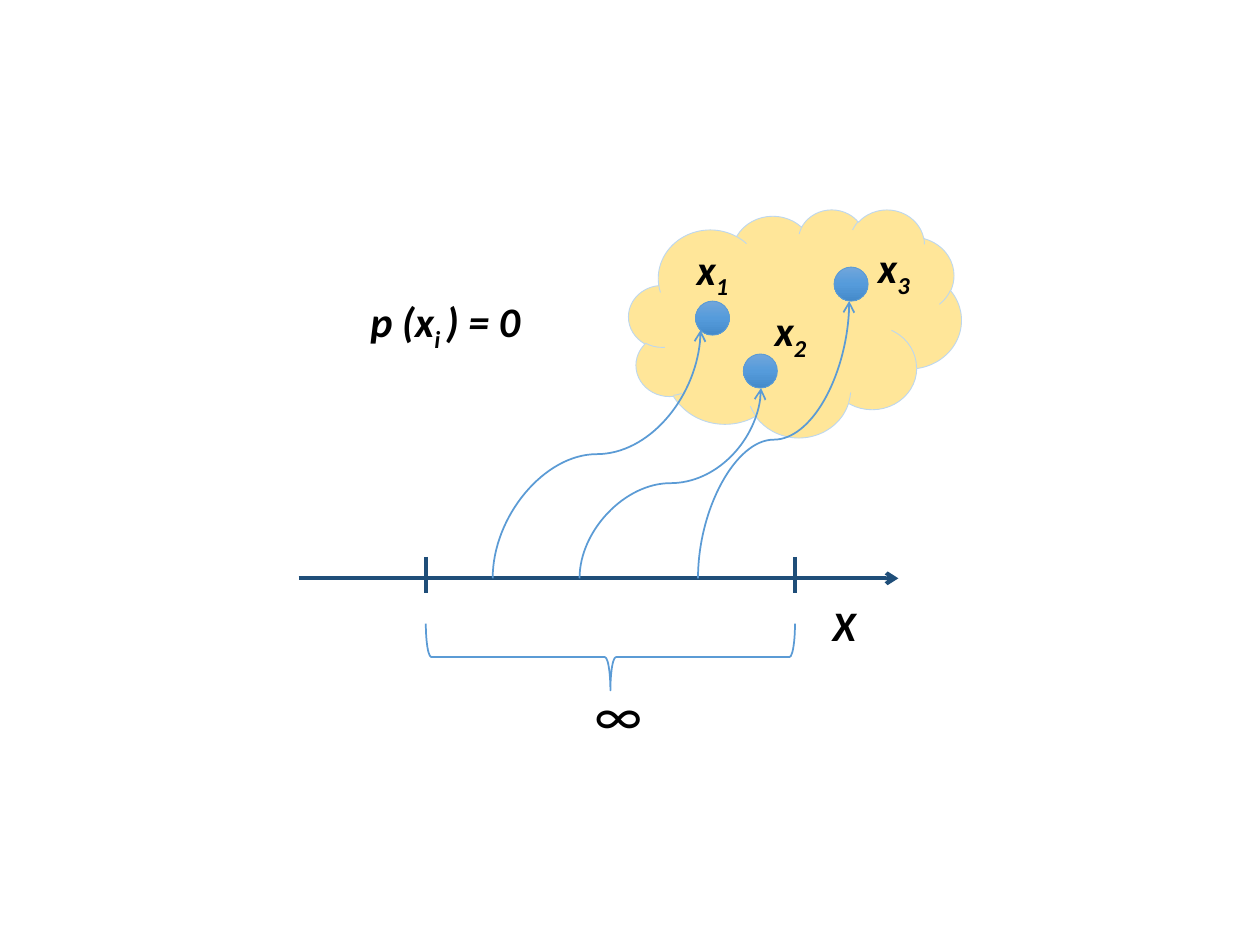
import copy
import pptx
import pptx.util
import pptx.dml.color
import pptx.enum.shapes
import pptx.enum.text
import pptx.oxml
import pptx.oxml.ns

WIDE = pptx.util.Inches(10)
HIGH = pptx.util.Inches(7.5)
COLS, ROWS = 10, 7.5
KIND = pptx.enum.shapes.MSO_SHAPE
LINK = pptx.enum.shapes.MSO_CONNECTOR
NAVY, BLUE, PALE, SAND, INK = "1F4E79", "5B9BD5", "BDD7EE", "FFE699", "000000"
SHINE = ["71A6DB", "559BDB", "448ACA"]
AXIS = 4.59
ENDS = (3.38, 6.31)
DOT = 0.27


def col(n):
    return round(WIDE * n / COLS)


def row(n):
    return round(HIGH * n / ROWS)


def hue(code):
    return pptx.dml.color.RGBColor.from_string(code)


def node(root, tag, **keys):
    item = pptx.oxml.parse_xml(f"<a:{tag} {pptx.oxml.ns.nsdecls('a')}/>")
    for key, val in keys.items():
        item.set(key, val)
    root.append(item)


def pen(item, code, size):
    item.line.color.rgb = hue(code)
    item.line.width = pptx.util.Pt(size)


def link(slide, kind, start, end, code, size, tip=False):
    item = slide.shapes.add_connector(
        kind, col(start[0]), row(start[1]), col(end[0]), row(end[1]))
    pen(item, code, size)
    if tip:
        node(item.line._get_or_add_ln(), "tailEnd", type="arrow")
    node(item._element.spPr, "effectLst")
    return item


def curve(slide, start, end):
    midx, midy = (start[0] + end[0]) / 2, (start[1] + end[1]) / 2
    halfw, halfh = (start[1] - end[1]) / 2, (end[0] - start[0]) / 2
    item = link(slide, LINK.CURVE, (midx + halfw, midy + halfh),
                (midx - halfw, midy - halfh), BLUE, 1, tip=True)
    frame = item._element.spPr.find(pptx.oxml.ns.qn("a:xfrm"))
    frame.set("rot", "5400000")


def form(slide, kind, box, line, size, fill=None):
    left, top, wide, high = box
    item = slide.shapes.add_shape(kind, col(left), row(top), col(wide), row(high))
    item.shadow.inherit = False
    pen(item, line, size)
    if fill:
        item.fill.solid()
        item.fill.fore_color.rgb = hue(fill)
    else:
        item.fill.background()
    return item


def ball(slide, left, top):
    item = form(slide, KIND.OVAL, (left, top, DOT, DOT), BLUE, 0.5)
    item.fill.gradient()
    item.fill.gradient_angle = 270
    first = item.fill.gradient_stops[0]._gs
    first.addnext(copy.deepcopy(first))
    for i, stop in enumerate(item.fill.gradient_stops):
        stop.position = i / 2
        stop.color.rgb = hue(SHINE[i])


def text(slide, parts, box, size=24, slant=True, wrap=False):
    left, top, wide, high = box
    item = slide.shapes.add_textbox(col(left), row(top), col(wide), row(high))
    frame = item.text_frame
    frame.word_wrap = wrap
    frame.auto_size = pptx.enum.text.MSO_AUTO_SIZE.SHAPE_TO_FIT_TEXT
    for i, part in enumerate(parts):
        run = frame.paragraphs[0].add_run()
        run.text = part
        font = run.font
        font.name = "Calibri"
        font.size = pptx.util.Pt(size)
        font.bold = font.italic = slant
        font.color.rgb = hue(INK)
        if i % 2:
            font._element.set("baseline", "-25000")


def main():
    deck = pptx.Presentation()
    deck.slide_width, deck.slide_height = WIDE, HIGH
    slide = deck.slides.add_slide(deck.slide_layouts[6])

    link(slide, LINK.STRAIGHT, (2.37, AXIS), (7.13, AXIS), NAVY, 2.25, tip=True)
    for end in ENDS:
        link(slide, LINK.STRAIGHT, (end, 4.42), (end, 4.71), NAVY, 2.25)

    form(slide, KIND.CLOUD, (4.99, 1.66, 2.64, 1.81), PALE, 0.5, SAND)
    for spot in [(5.52, 2.39), (6.62, 2.12), (5.9, 2.81)]:
        ball(slide, *spot)
    for foot, tip in [(3.91, (5.56, 2.62)), (4.6, (6.04, 3.08)), (5.54, (6.74, 2.39))]:
        curve(slide, (foot, AXIS), tip)

    text(slide, ["X"], (6.51, 4.71, 0.47, 0.5))
    for sub, left, top in [("1", 5.43, 1.88), ("3", 6.87, 1.87), ("2", 6.05, 2.37)]:
        text(slide, ["x", sub], (left, top, 0.53, 0.5))
    text(slide, ["∞"], (4.62, 5.34, 0.7, 0.64), size=32, slant=False, wrap=True)
    brace = form(slide, KIND.LEFT_BRACE, (4.58, 3.75, 0.53, ENDS[1] - ENDS[0]), BLUE, 1)
    brace.rotation = 270
    text(slide, ["p (x", "i ", ") = 0"], (2.84, 2.3, 1.49, 0.5))

    deck.save("out.pptx")


main()
